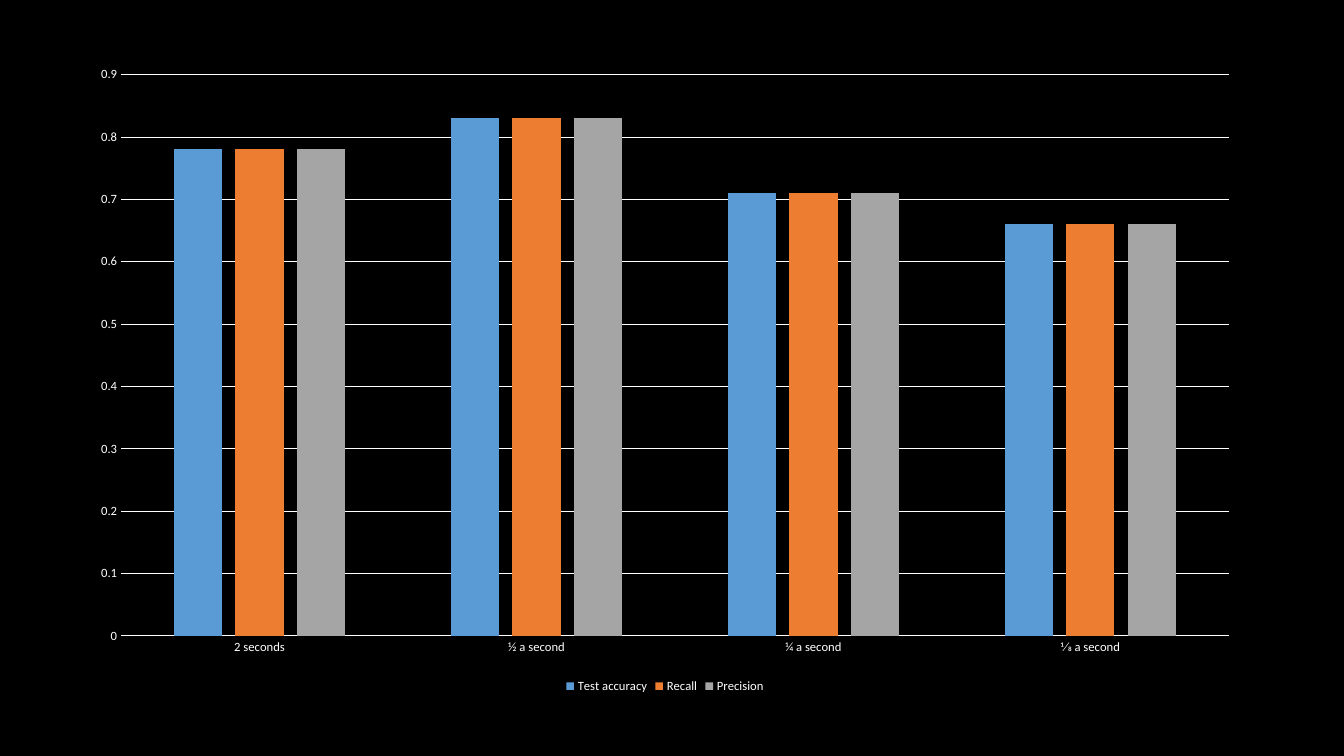
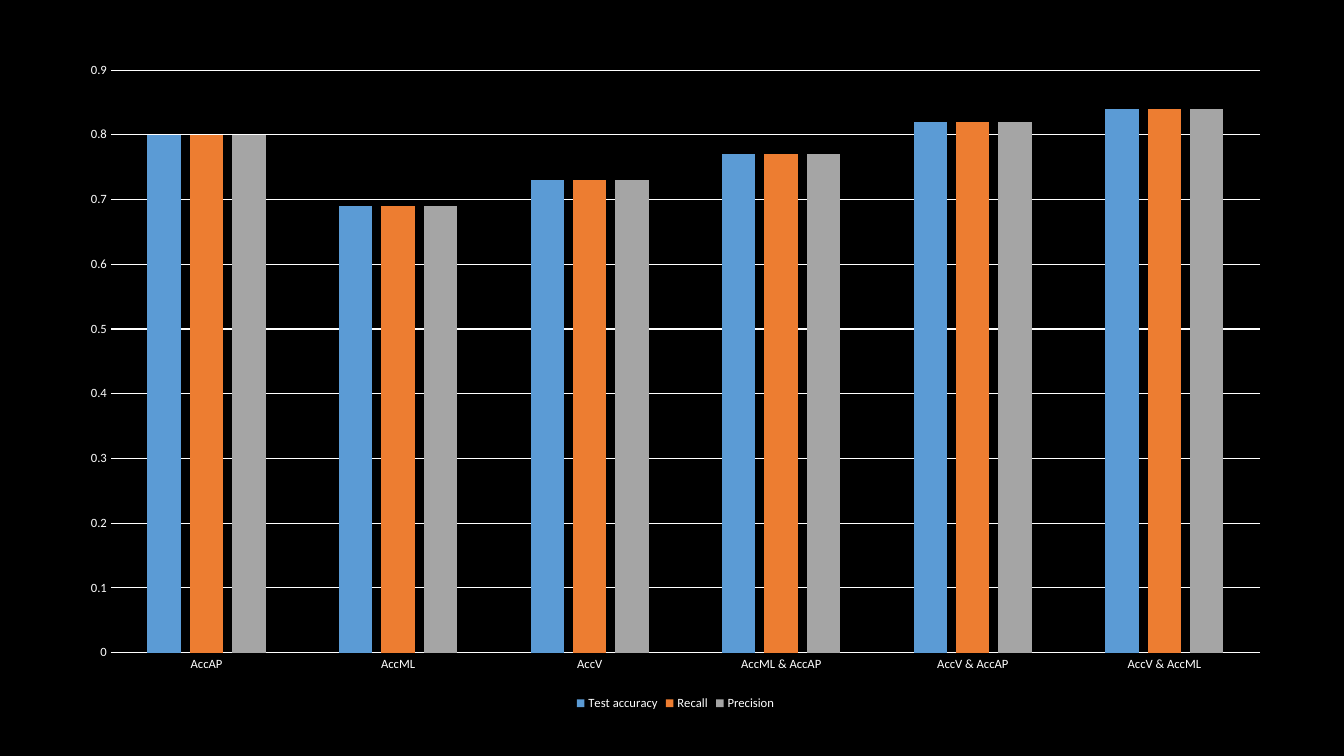
from pptx import Presentation
from pptx import util as u
from pptx.chart.data import CategoryChartData
from pptx.dml.color import RGBColor
from pptx.enum import chart as ch

FACE = "Calibri"
HUES = {
    "back": "000000",
    "text": "FFFFFF",
    "Test accuracy": "5B9BD5",
    "Recall": "ED7D31",
    "Precision": "A5A5A5",
}
NAMES = ["Test accuracy", "Recall", "Precision"]


def hue(key):
    return RGBColor.from_string(HUES[key])


def paint(fill, key):
    fill.solid()
    fill.fore_color.rgb = hue(key)


def type_font(font, size):
    font.name = FACE
    font.size = u.Pt(size)
    font.color.rgb = hue("text")


def rule(line):
    paint(line.fill, "text")
    line.width = u.Pt(0.75)


def style_axis(axis):
    axis.major_tick_mark = ch.XL_TICK_MARK.NONE
    axis.minor_tick_mark = ch.XL_TICK_MARK.NONE
    type_font(axis.tick_labels.font, 9)


def style_axes(chart):
    base, scale = chart.category_axis, chart.value_axis
    style_axis(base)
    rule(base.format.line)
    style_axis(scale)
    scale.format.line.fill.background()
    scale.has_major_gridlines = True
    rule(scale.major_gridlines.format.line)
    scale.minimum_scale = 0
    scale.maximum_scale = 0.9
    scale.major_unit = 0.1


def style_bars(plot):
    plot.gap_width = 219
    plot.overlap = -27
    plot.vary_by_categories = False
    for bars in plot.series:
        paint(bars.format.fill, bars.name)


def style_key(chart):
    chart.has_legend = True
    chart.legend.position = ch.XL_LEGEND_POSITION.BOTTOM
    chart.legend.include_in_layout = False
    type_font(chart.legend.font, 9)


def add_bars(slide, box, scores):
    data = CategoryChartData(number_format="General")
    data.categories = list(scores)
    for name in NAMES:
        data.add_series(name, list(scores.values()))
    frame = slide.shapes.add_chart(
        ch.XL_CHART_TYPE.COLUMN_CLUSTERED, *map(u.Inches, box), data
    )
    chart = frame.chart
    chart.has_title = False
    type_font(chart.font, 10)
    style_axes(chart)
    style_bars(chart.plots[0])
    style_key(chart)


def main():
    deck = Presentation()
    deck.slide_width = u.Inches(13.33)
    deck.slide_height = u.Inches(7.5)
    paint(deck.slide_master.background.fill, "back")
    blank = deck.slide_layouts.get_by_name("Blank")

    spans = {
        "2 seconds": 0.78,
        "½ a second": 0.83,
        "¼ a second": 0.71,
        "1⁄8 a second": 0.66,
    }
    add_bars(deck.slides.add_slide(blank), (0.77, 0.54, 11.65, 6.38), spans)

    inputs = {
        "AccAP": 0.8,
        "AccML": 0.69,
        "AccV": 0.73,
        "AccML & AccAP": 0.77,
        "AccV & AccAP": 0.82,
        "AccV & AccML": 0.84,
    }
    add_bars(deck.slides.add_slide(blank), (0.66, 0.49, 12.08, 6.6), inputs)

    deck.save("out.pptx")


if __name__ == "__main__":
    main()
